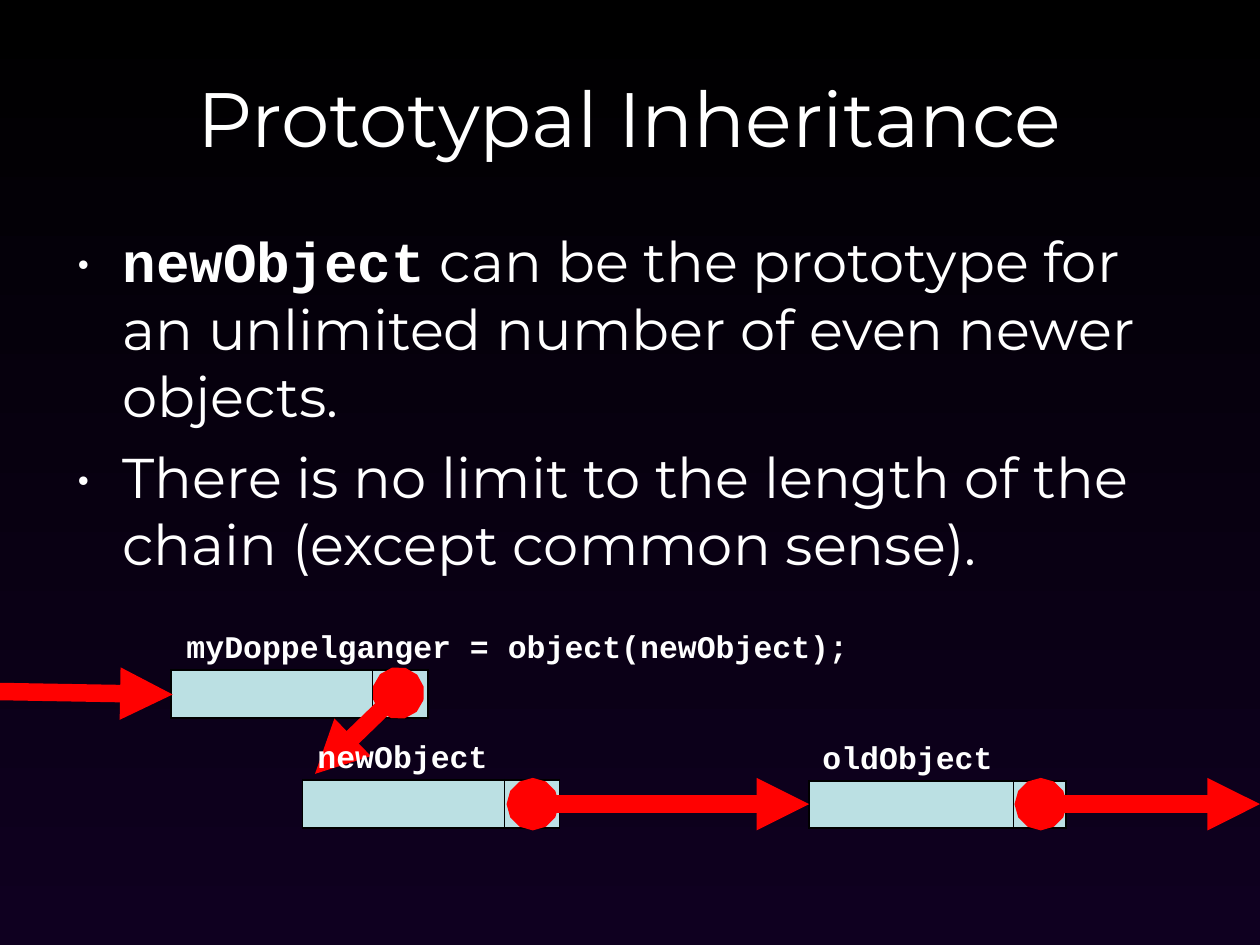
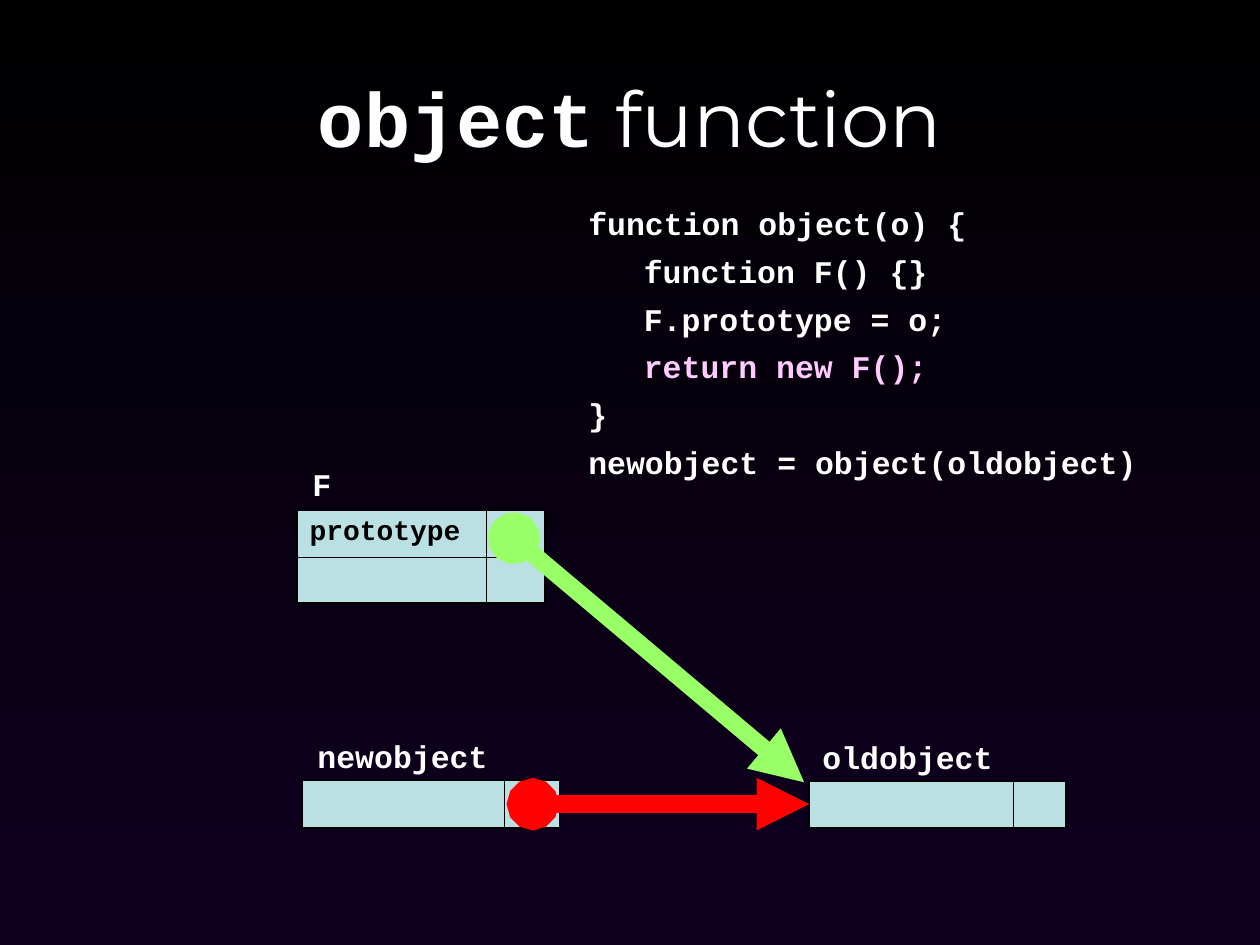
import dataclasses
import typing

import pptx
import pptx.dml.color
import pptx.enum.shapes
import pptx.enum.text
import pptx.oxml
import pptx.oxml.ns
import pptx.presentation
import pptx.shapes.autoshape
import pptx.slide
import pptx.table
import pptx.text.text
import pptx.util

Cm = pptx.util.Cm
Pt = pptx.util.Pt
RGBColor = pptx.dml.color.RGBColor

BLACK = RGBColor(0x00, 0x00, 0x00)
NIGHT = RGBColor(0x0F, 0x00, 0x20)
WHITE = RGBColor(0xFF, 0xFF, 0xFF)
PINK = RGBColor(0xFF, 0xCC, 0xFF)
RED = RGBColor(0xFF, 0x01, 0x01)
GREEN = RGBColor(0x99, 0xFF, 0x66)
CELL_BLUE = RGBColor(0xBB, 0xE0, 0xE3)

TEXT_FONT = "Montserrat"
CODE_FONT = "Courier New"
OUTER_BORDER = Pt(1.08)
INNER_BORDER = Pt(0.45)
BLANK_LAYOUT = 6


class Span(typing.NamedTuple):
    text: str
    font: str = TEXT_FONT


class CodeLine(typing.NamedTuple):
    text: str
    indent: float
    color: RGBColor = WHITE


@dataclasses.dataclass(frozen=True)
class Record:
    """An object drawn as a table; lengths in centimetres."""
    left: float
    top: float
    columns: tuple[float, ...]
    row_height: float
    rows: int = 1
    field: str = ""


@dataclasses.dataclass(frozen=True)
class Label:
    text: str
    left: float
    top: float
    width: float


@dataclasses.dataclass(frozen=True)
class Arrow:
    start: tuple[float, float]
    end: tuple[float, float]
    color: RGBColor = RED
    dot: bool = True


NEW_RECORD = Record(6.10, 15.72, (4.06, 1.12), 0.97)
OLD_RECORD = Record(16.31, 15.75, (4.11, 1.07), 0.94)
DOPPELGANGER_RECORD = Record(3.45, 13.51, (4.06, 1.12), 0.97)
FUNCTION_RECORD = Record(5.99, 10.29, (3.81, 1.19), 0.93, 2, "prototype")
NEW_TO_OLD = Arrow((10.74, 16.21), (16.31, 16.21))


def element(xml: str):
    """Parse a drawing element whose tag opens with the a: prefix."""
    tag, space, rest = xml.partition(" ")
    namespace = pptx.oxml.ns.nsdecls("a")
    return pptx.oxml.parse_xml(f"{tag} {namespace} {rest}")


def write(paragraph: pptx.text.text._Paragraph, spans: typing.Iterable[Span],
          size: float, color: RGBColor = WHITE) -> None:
    for span in spans:
        run = paragraph.add_run()
        run.text = span.text
        run.font.name = span.font
        run.font.size = Pt(size)
        run.font.bold = span.font == CODE_FONT
        run.font.color.rgb = color


def add_text_frame(slide: pptx.slide.Slide, left: float, top: float,
                   width: float, height: float) -> pptx.text.text.TextFrame:
    box = slide.shapes.add_textbox(Cm(left), Cm(top), Cm(width), Cm(height))
    box.text_frame.word_wrap = True
    return box.text_frame


def paragraphs_for(frame: pptx.text.text.TextFrame, items: typing.Sequence):
    """Pair each item with its own paragraph, starting with the first one."""
    for index, item in enumerate(items):
        yield (frame.add_paragraph() if index else frame.paragraphs[0]), item


def add_title(slide: pptx.slide.Slide, *spans: Span) -> None:
    frame = add_text_frame(slide, 1.27, 0.76, 22.86, 3.18)
    frame.vertical_anchor = pptx.enum.text.MSO_ANCHOR.MIDDLE
    frame.paragraphs[0].alignment = pptx.enum.text.PP_ALIGN.CENTER
    write(frame.paragraphs[0], spans, 44)


def add_bullets(slide: pptx.slide.Slide, bullets: typing.Sequence[list[Span]]) -> None:
    frame = add_text_frame(slide, 1.27, 4.45, 22.86, 14.17)
    for paragraph, spans in paragraphs_for(frame, bullets):
        write(paragraph, spans, 32)
        paragraph.space_before = Pt(8)
        properties = paragraph._p.get_or_add_pPr()
        properties.set("marL", str(Cm(0.95)))
        properties.set("indent", str(-Cm(0.95)))
        properties.append(element(f'<a:buFont typeface="{TEXT_FONT}"/>'))
        properties.append(element('<a:buChar char="•"/>'))


def add_code(slide: pptx.slide.Slide, lines: typing.Sequence[CodeLine]) -> None:
    frame = add_text_frame(slide, 9.55, 3.99, 14.68, 5.77)
    for paragraph, line in paragraphs_for(frame, lines):
        write(paragraph, [Span(line.text, CODE_FONT)], 18, line.color)
        paragraph.space_before = Pt(5.7)
        paragraph._p.get_or_add_pPr().set("marL", str(Cm(line.indent)))


def add_label(slide: pptx.slide.Slide, label: Label) -> None:
    frame = add_text_frame(slide, label.left, label.top, label.width, 1.02)
    frame.word_wrap = False
    frame.auto_size = pptx.enum.text.MSO_AUTO_SIZE.SHAPE_TO_FIT_TEXT
    write(frame.paragraphs[0], [Span(label.text, CODE_FONT)], 18)


def style_cell(cell: pptx.table._Cell, outer_sides: dict[str, bool]) -> None:
    """Fill a cell; sides on the table's rim get the thicker border."""
    cell.fill.solid()
    cell.fill.fore_color.rgb = CELL_BLUE
    properties = cell._tc.get_or_add_tcPr()
    for position, (side, is_outer) in enumerate(outer_sides.items()):
        width = OUTER_BORDER if is_outer else INNER_BORDER
        properties.insert(position, element(
            f'<a:ln{side} w="{width}"><a:solidFill><a:srgbClr val="{BLACK}"/>'
            f'</a:solidFill></a:ln{side}>'))


def add_record(slide: pptx.slide.Slide, record: Record) -> None:
    last_column = len(record.columns) - 1
    table = slide.shapes.add_table(
        record.rows, len(record.columns), Cm(record.left), Cm(record.top),
        Cm(sum(record.columns)), Cm(record.row_height * record.rows)).table
    table.first_row = False
    table.horz_banding = False
    for column, width in zip(table.columns, record.columns):
        column.width = Cm(width)
    for row in range(record.rows):
        for column in range(len(record.columns)):
            cell = table.cell(row, column)
            cell.margin_top = cell.margin_bottom = Cm(0)
            style_cell(cell, {"L": column == 0, "R": column == last_column,
                              "T": row == 0, "B": row == record.rows - 1})
    if record.field:
        field_cell = table.cell(0, 0)
        field_cell.margin_top = field_cell.margin_bottom = Cm(0.13)
        paragraph = field_cell.text_frame.paragraphs[0]
        paragraph.space_before = Pt(4)
        write(paragraph, [Span(record.field, CODE_FONT)], 16, BLACK)


def add_arrow(slide: pptx.slide.Slide, arrow: Arrow) -> None:
    connector = slide.shapes.add_connector(
        pptx.enum.shapes.MSO_CONNECTOR.STRAIGHT,
        *(Cm(length) for length in arrow.start + arrow.end))
    connector.line.color.rgb = arrow.color
    connector.line.width = Pt(10)
    line = connector.line._get_or_add_ln()
    if arrow.dot:
        line.append(element('<a:headEnd type="oval"/>'))
    line.append(element('<a:tailEnd type="triangle"/>'))
    connector._element.spPr.append(element("<a:effectLst />"))


def add_diagram(slide: pptx.slide.Slide, records: list[Record],
                arrows: list[Arrow], labels: list[Label]) -> None:
    for record in records:
        add_record(slide, record)
    for arrow in arrows:
        add_arrow(slide, arrow)
    for label in labels:
        add_label(slide, label)


def paint_background(presentation: pptx.presentation.Presentation) -> None:
    fill = presentation.slide_master.background.fill
    fill.gradient()
    fill.gradient_angle = 270
    for stop, color in zip(fill.gradient_stops, (BLACK, NIGHT)):
        stop.color.rgb = color


def add_slide(presentation: pptx.presentation.Presentation) -> pptx.slide.Slide:
    return presentation.slides.add_slide(presentation.slide_layouts[BLANK_LAYOUT])


def build_inheritance_slide(slide: pptx.slide.Slide) -> None:
    add_title(slide, Span("Prototypal Inheritance"))
    add_bullets(slide, [
        [Span("newObject", CODE_FONT),
         Span(" can be the prototype for an unlimited number of even newer objects.")],
        [Span("There is no limit to the length of the chain (except common sense).")],
    ])
    add_diagram(
        slide,
        [OLD_RECORD, NEW_RECORD, DOPPELGANGER_RECORD],
        [NEW_TO_OLD,
         Arrow((8.03, 13.97), (6.35, 15.60)),
         Arrow((20.98, 16.21), (25.40, 16.21)),
         Arrow((0, 13.94), (3.48, 14.00), dot=False)],
        [Label("oldObject", 16.33, 14.76, 3.94),
         Label("newObject", 6.15, 14.73, 3.94),
         Label("myDoppelganger = object(newObject);", 3.51, 12.52, 13.84)])


def build_function_slide(slide: pptx.slide.Slide) -> None:
    add_title(slide, Span("object", CODE_FONT), Span(" function"))
    outer, inner = 2.06, 3.18
    add_code(slide, [
        CodeLine("function object(o) {", outer),
        CodeLine("function F() {}", inner),
        CodeLine("F.prototype = o;", inner),
        CodeLine("return new F();", inner, PINK),
        CodeLine("}", outer),
        CodeLine("newobject = object(oldobject)", outer),
    ])
    add_diagram(
        slide,
        [FUNCTION_RECORD, OLD_RECORD, NEW_RECORD],
        [NEW_TO_OLD, Arrow((10.36, 10.85), (16.21, 15.77), GREEN)],
        [Label("F", 6.05, 9.25, 0.89),
         Label("newobject", 6.15, 14.73, 3.94),
         Label("oldobject", 16.33, 14.76, 3.94)])


def main() -> None:
    presentation = pptx.Presentation()
    presentation.slide_width = Cm(25.4)
    presentation.slide_height = Cm(19.05)
    paint_background(presentation)
    build_inheritance_slide(add_slide(presentation))
    build_function_slide(add_slide(presentation))
    presentation.save("out.pptx")


if __name__ == "__main__":
    main()
